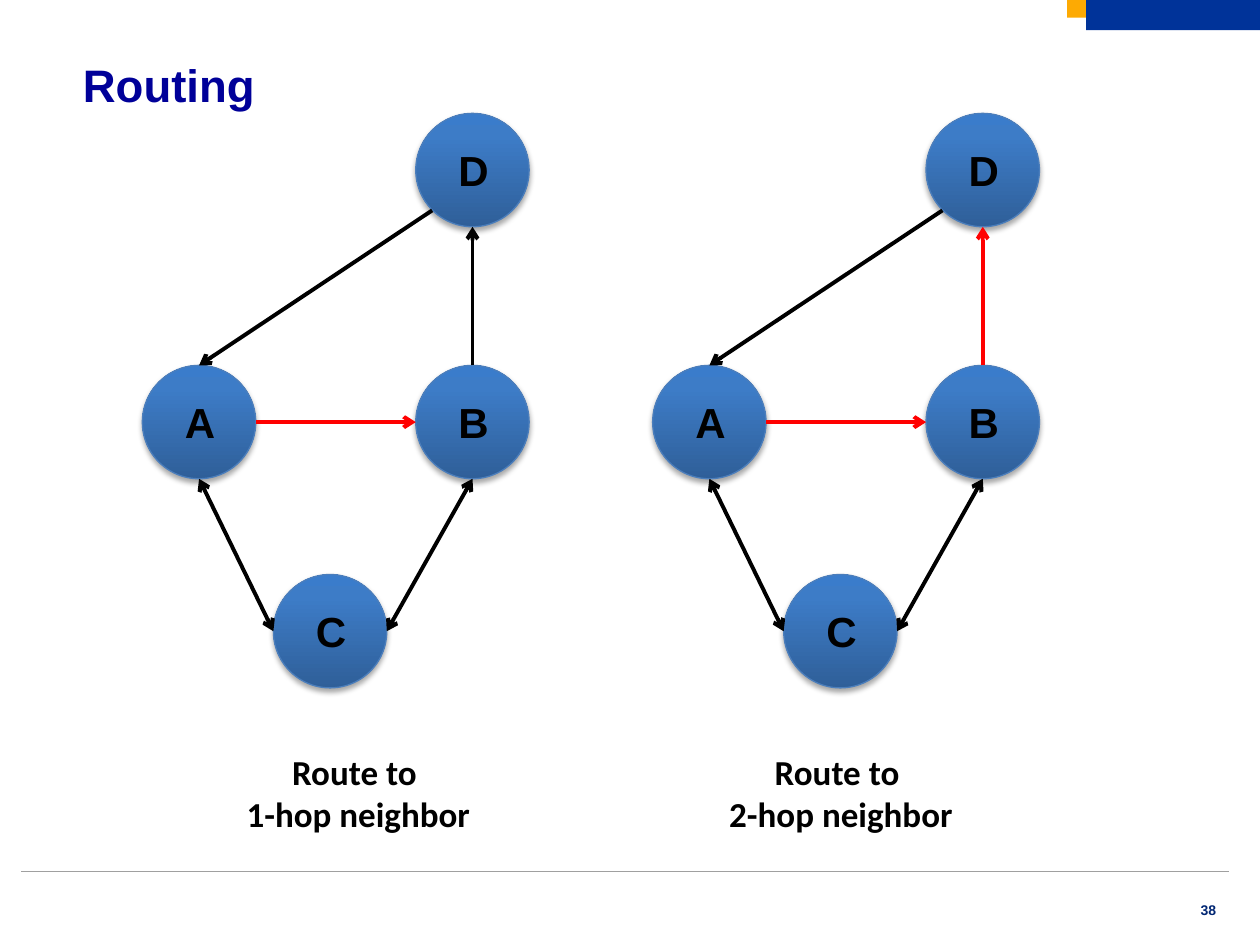
from typing import NamedTuple

from lxml.etree import SubElement
from pptx import Presentation
from pptx.dml.color import RGBColor as Rgb
from pptx.enum.shapes import MSO_CONNECTOR as Link, MSO_SHAPE as Form
from pptx.enum.text import MSO_ANCHOR as Anchor, PP_ALIGN as Align
from pptx.oxml import parse_xml
from pptx.oxml.ns import nsdecls, qn
from pptx.util import Pt

SCALE = 9144
SIZE = 90
GOLD = Rgb(0xFD, 0xAA, 0x03)
BLUE = Rgb(0x00, 0x33, 0x99)
NAVY = Rgb(0x00, 0x00, 0x99)
INK = Rgb(0x00, 0x26, 0x73)
RIM = Rgb(0x4B, 0x7E, 0xBC)
GRAY = Rgb(0xA0, 0xA0, 0xA0)
BLACK = Rgb(0x00, 0x00, 0x00)
RED = Rgb(0xFF, 0x00, 0x00)
STOPS = [(0, "2F5F99"), (80, "3D7CC7"), (100, "3A7CCB")]


class Node(NamedTuple):
    name: str
    x: int
    y: int


class Edge(NamedTuple):
    start: str
    exit: str
    end: str
    entry: str
    both: bool = False


class Graph(NamedTuple):
    shift: int
    route: set[str]
    text: str
    left: int


class Style(NamedTuple):
    face: str
    size: int
    color: Rgb
    align: Align = Align.LEFT


NODES = {n.name: n for n in [
    Node("A", 113, 290), Node("B", 330, 290), Node("D", 330, 90), Node("C", 217, 456),
]}
SIDES = {"top": (45, 0), "bottom": (45, 90), "left": (0, 45),
         "right": (90, 45), "corner": (13, 77)}
EDGES = [
    Edge("A", "bottom", "C", "left", True),
    Edge("B", "top", "D", "bottom"),
    Edge("A", "right", "B", "left"),
    Edge("C", "right", "B", "bottom", True),
    Edge("D", "corner", "A", "top"),
]
GRAPHS = [
    Graph(0, {"AB"}, "Route to \n1-hop neighbor", 166),
    Graph(405, {"AB", "BD"}, "Route to \n2-hop neighbor", 549),
]
TITLE = Style("Arial", 26, NAVY)
LABEL = Style("Arial", 24, BLACK)
NOTE = Style("Calibri", 20, BLACK, Align.CENTER)
PAGE = Style("Arial", 8, INK, Align.RIGHT)


def px(*sizes: int) -> list[int]:
    return [size * SCALE for size in sizes]


def write(shapes, text: str, box: tuple, style: Style, wrap: bool = False):
    frame = shapes.add_textbox(*px(*box)).text_frame
    frame.word_wrap = wrap
    frame.text = text
    for para in frame.paragraphs:
        para.alignment = style.align
        para.font.name = style.face
        para.font.size = Pt(style.size)
        para.font.color.rgb = style.color
        para.font.bold = True
    return frame


def block(shapes, box: tuple, color: Rgb) -> None:
    rect = shapes.add_shape(Form.RECTANGLE, *px(*box))
    rect.shadow.inherit = False
    rect.fill.solid()
    rect.fill.fore_color.rgb = color
    rect.line.fill.background()


def line(shapes, ends: tuple, color: Rgb, width: float, tips: tuple = ()) -> None:
    link = shapes.add_connector(Link.STRAIGHT, *px(*ends))
    link.line.color.rgb = color
    link.line.width = Pt(width)
    for tip in tips:
        SubElement(link.line._get_or_add_ln(), qn(f"a:{tip}"), type="arrow")
    SubElement(link._element.spPr, qn("a:effectLst"))


def draw_node(shapes, node: Node, shift: int) -> None:
    group = shapes.add_group_shape().shapes
    x = node.x + shift
    disc = group.add_shape(Form.OVAL, *px(x, node.y, SIZE, SIZE))
    disc.line.color.rgb = RIM
    disc.line.width = Pt(0.75)
    stops = "".join(
        f'<a:gs pos="{at * 1000}"><a:srgbClr val="{color}"/></a:gs>' for at, color in STOPS)
    props = disc._element.spPr
    props.find(qn("a:prstGeom")).addnext(parse_xml(
        f'<a:gradFill {nsdecls("a")} rotWithShape="1"><a:gsLst>{stops}</a:gsLst>'
        '<a:lin ang="16200000" scaled="0"/></a:gradFill>'))
    props.append(parse_xml(
        f'<a:effectLst {nsdecls("a")}><a:outerShdw blurRad="40000" dist="23000" '
        'dir="5400000" rotWithShape="0"><a:srgbClr val="000000">'
        '<a:alpha val="35000"/></a:srgbClr></a:outerShdw></a:effectLst>'))
    write(group, node.name, (x + 24, node.y + 20, 44, 50), LABEL)


def point(name: str, side: str, shift: int) -> tuple[int, int]:
    node, (dx, dy) = NODES[name], SIDES[side]
    return node.x + shift + dx, node.y + dy


def draw_graph(shapes, graph: Graph) -> None:
    for node in NODES.values():
        draw_node(shapes, node, graph.shift)
    for edge in EDGES:
        ends = (point(edge.start, edge.exit, graph.shift)
                + point(edge.end, edge.entry, graph.shift))
        color = RED if edge.start + edge.end in graph.route else BLACK
        tips = ("headEnd", "tailEnd") if edge.both else ("tailEnd",)
        line(shapes, ends, color, 2.25, tips)
    write(shapes, graph.text, (graph.left, 591, 237, 77), NOTE, True)


def main() -> None:
    deck = Presentation()
    deck.slide_width, deck.slide_height = px(1000, 750)
    shapes = deck.slides.add_slide(deck.slide_layouts[6]).shapes
    block(shapes, (847, 0, 153, 14), GOLD)
    block(shapes, (862, 0, 138, 24), BLUE)
    line(shapes, (17, 692, 975, 692), GRAY, 0.5)
    title = write(shapes, "Routing", (56, 42, 783, 58), TITLE, True)
    title.paragraphs[0].line_spacing = Pt(30)
    for graph in GRAPHS:
        draw_graph(shapes, graph)
    page = write(shapes, "38", (917, 712, 58, 17), PAGE, True)
    page.vertical_anchor = Anchor.MIDDLE
    page.paragraphs[0].line_spacing = 1.2
    deck.save("out.pptx")


if __name__ == "__main__":
    main()
